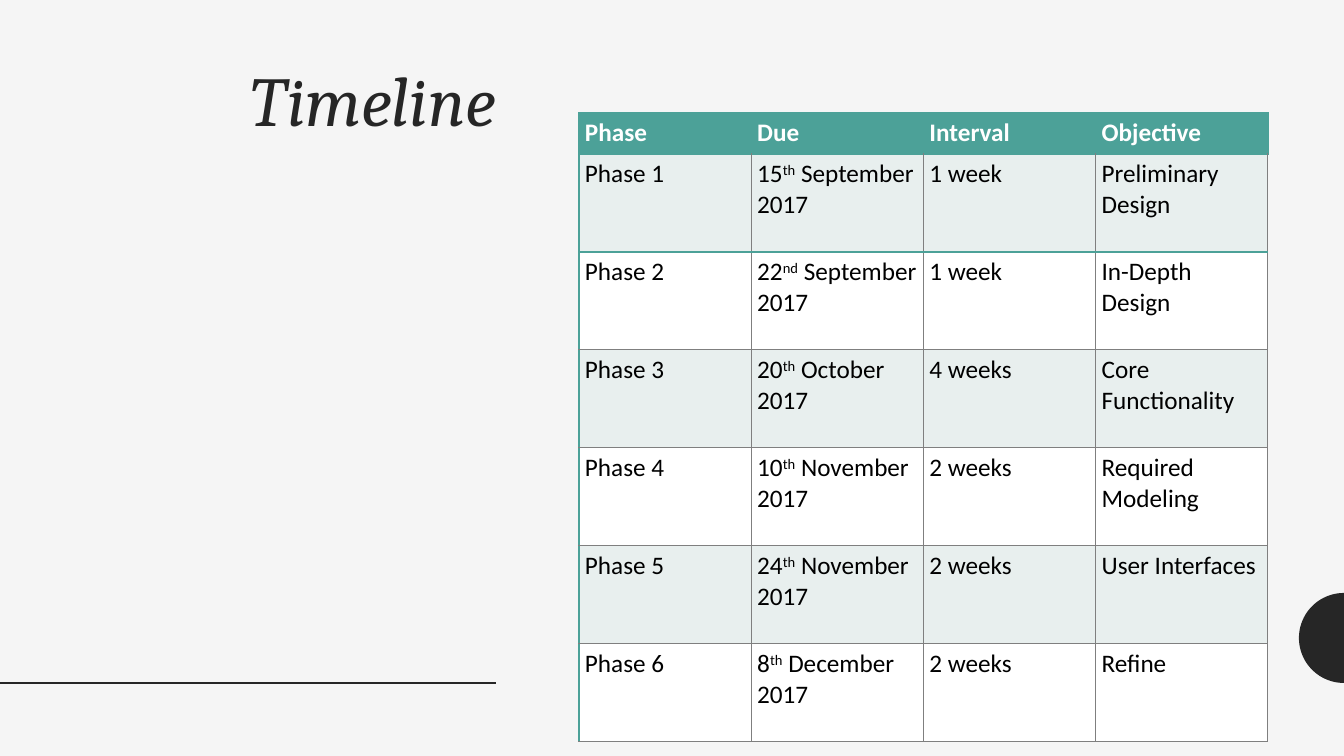
from math import cos, pi, sin

from lxml.etree import SubElement
from pptx import Presentation
from pptx.dml.color import RGBColor
from pptx.enum.shapes import MSO_CONNECTOR
from pptx.enum.text import MSO_ANCHOR, PP_ALIGN
from pptx.oxml import parse_xml
from pptx.oxml.ns import nsdecls, qn
from pptx.util import Pt

SLIDE_WIDTH, SLIDE_HEIGHT = 1344, 756
EMU_PER_PX = 914400 / 100.8
INK, TEAL, GREY = "262626", "4CA198", "7F7F7F"
BANDS = ("FFFFFF", "E8EFEE")
HEADINGS = ("Phase", "Due", "Interval", "Objective")
# Day, ordinal suffix, month and year, interval, objective
PHASES = (
    ("15", "th", " September 2017", "1 week", "Preliminary Design"),
    ("22", "nd", " September 2017", "1 week", "In-Depth Design"),
    ("20", "th", " October 2017", "4 weeks", "Core Functionality"),
    ("10", "th", " November 2017", "2 weeks", "Required Modeling"),
    ("24", "th", " November 2017", "2 weeks", "User Interfaces"),
    ("8", "th", " December 2017", "2 weeks", "Refine"),
)


def px(length):
    return round(length * EMU_PER_PX)


def color(hex_code):
    return RGBColor.from_string(hex_code)


def paint(fill, hex_code):
    fill.solid()
    fill.fore_color.rgb = color(hex_code)


def add_run(paragraph, text, hex_code, **font_format):
    run = paragraph.add_run()
    run.text = text
    run.font.color.rgb = color(hex_code)
    for key, value in font_format.items():
        setattr(run.font, key, value)
    return run


def set_borders(cell, row, column):
    """Teal around the header, the first phase and the left edge; grey elsewhere."""
    side = TEAL if row == 0 else GREY
    edges = {
        "lnL": TEAL if column == 0 else side,
        "lnR": side,
        "lnT": TEAL if row <= 2 else GREY,
        "lnB": TEAL if row <= 1 else GREY,
    }
    properties = cell._tc.get_or_add_tcPr()
    for position, (edge, hex_code) in enumerate(edges.items()):
        width = Pt(1) if hex_code == TEAL else Pt(0.75)
        properties.insert(position, parse_xml(
            f'<a:{edge} {nsdecls("a")} w="{width}"><a:solidFill>'
            f'<a:srgbClr val="{hex_code}"/></a:solidFill></a:{edge}>'))


def add_decoration(slide, left, top, width, height, rule_width):
    """Half disc at the right edge of the box, rule along its bottom."""
    center_y, radius = top + height - 118, 45
    right, bottom = left + width, center_y + radius
    arc = [(px(right - radius * sin(pi * step / 60)),
            px(center_y - radius * cos(pi * step / 60))) for step in range(61)]
    builder = slide.shapes.build_freeform(*arc[0])
    builder.add_line_segments(arc[1:], close=True)
    half_disc = builder.convert_to_shape()
    half_disc.shadow.inherit = False
    paint(half_disc.fill, INK)
    half_disc.line.fill.background()

    rule = slide.shapes.add_connector(
        MSO_CONNECTOR.STRAIGHT, px(left), px(bottom), px(left + rule_width), px(bottom))
    rule.line.color.rgb = color(INK)
    rule.line.width = Pt(2)
    SubElement(rule._element.spPr, qn("a:effectLst"))


def add_title(slide, left, top, width, height):
    title = slide.shapes.add_textbox(px(left), px(top), px(width), px(height))
    frame = title.text_frame
    frame.word_wrap = True
    frame.vertical_anchor = MSO_ANCHOR.TOP
    paragraph = frame.paragraphs[0]
    paragraph.alignment = PP_ALIGN.RIGHT
    paragraph.line_spacing = 0.9
    add_run(paragraph, "Timeline", INK, name="Cambria", size=Pt(50), italic=True)


def add_schedule(slide, left, top, width, header_height, phase_height):
    rows = [[(heading,) for heading in HEADINGS]]
    for number, (day, suffix, month, interval, objective) in enumerate(PHASES, 1):
        rows.append([(f"Phase {number}",), (day, suffix, month), (interval,), (objective,)])
    heights = [header_height] + [phase_height] * len(PHASES)
    schedule = slide.shapes.add_table(
        len(rows), len(HEADINGS), px(left), px(top), px(width), px(sum(heights))).table
    for column in schedule.columns:
        column.width = px(width / len(HEADINGS))
    margins = {"margin_left": px(6), "margin_right": px(6),
               "margin_top": px(5), "margin_bottom": px(5)}

    for row, (parts, height) in enumerate(zip(rows, heights)):
        schedule.rows[row].height = px(height)
        is_header = row == 0
        for column, pieces in enumerate(parts):
            cell = schedule.cell(row, column)
            for key, value in margins.items():
                setattr(cell, key, value)
            paint(cell.fill, TEAL if is_header else BANDS[row % 2])
            set_borders(cell, row, column)
            for index, piece in enumerate(pieces):
                run = add_run(cell.text_frame.paragraphs[0], piece,
                              "FFFFFF" if is_header else "000000",
                              name="Calibri", size=Pt(18), bold=is_header)
                if index == 1:  # ordinal suffix is raised
                    run.font._element.set("baseline", "30000")


def build_timeline_slide(presentation):
    slide = presentation.slides.add_slide(presentation.slide_layouts[6])
    paint(slide.background.fill, "F5F5F5")
    add_decoration(slide, 0, 0, SLIDE_WIDTH, SLIDE_HEIGHT, rule_width=496)
    add_title(slide, 84, 61, 422, 546)
    add_schedule(slide, 579, 113, 689, header_height=41, phase_height=98)


presentation = Presentation()
presentation.slide_width = px(SLIDE_WIDTH)
presentation.slide_height = px(SLIDE_HEIGHT)
build_timeline_slide(presentation)
presentation.save("out.pptx")
